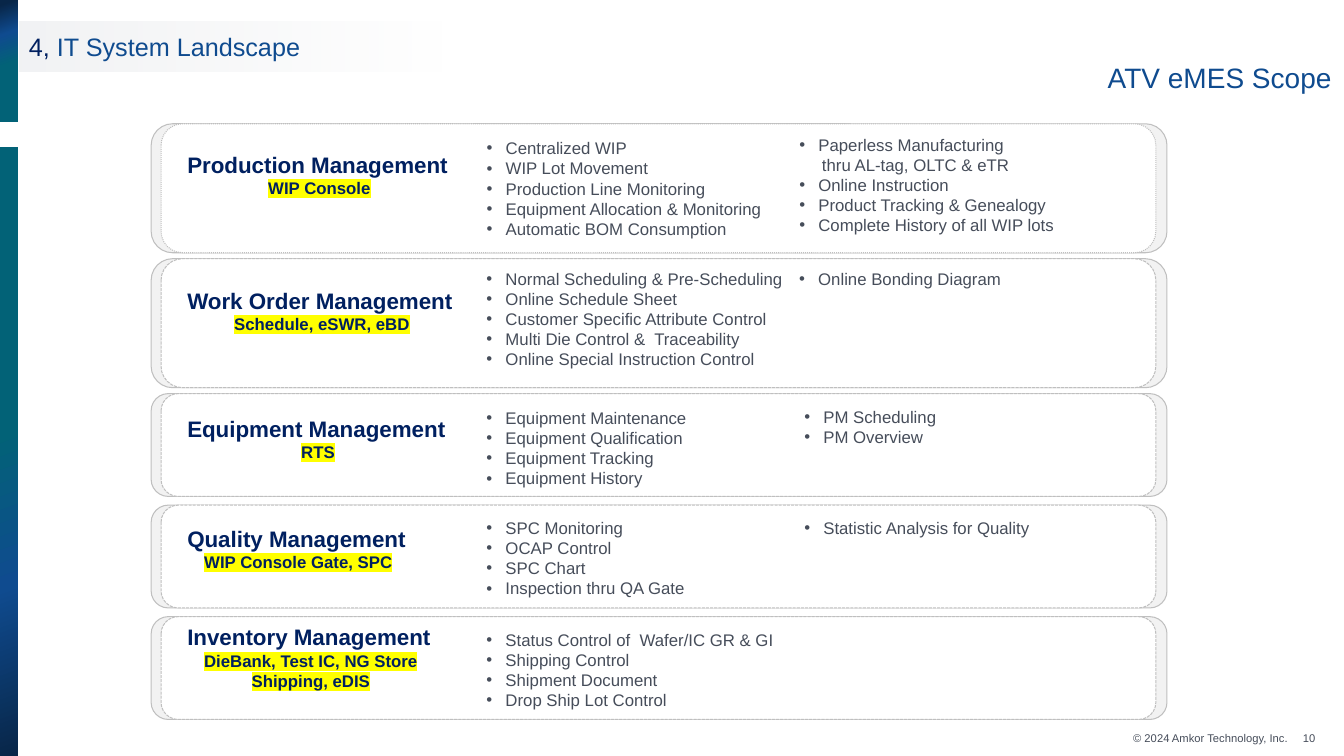
"""Build the system landscape slide with five bands of management scope."""
from dataclasses import dataclass

from lxml.etree import SubElement
from pptx import Presentation
from pptx.dml.color import RGBColor
from pptx.enum.dml import MSO_LINE
from pptx.enum.shapes import MSO_SHAPE
from pptx.enum.text import MSO_ANCHOR, MSO_AUTO_SIZE, PP_ALIGN
from pptx.oxml.ns import qn
from pptx.util import Cm, Pt


@dataclass(frozen=True)
class Theme:
    """Colours, font and type sizes."""
    face: str = "Arial"
    navy: str = "002060"
    blue: str = "0F4B8F"
    teal: str = "026277"
    deep: str = "082648"
    text: str = "464D5A"
    mark: str = "FFFF00"
    edge: str = "BFBFBF"
    back: str = "F2F2F2"
    front: str = "FFFFFF"
    haze: str = "D8DBE0"
    title: int = 20
    label: int = 18
    head: int = 16
    body: int = 12
    foot: int = 8


T = Theme()
TITLE = "ATV eMES Scope"
LABEL = [("4, ", T.navy), ("IT System Landscape", T.blue)]
FOOT = [("© 2024 Amkor Technology, Inc.", 26.49, 6.3, 0.33), ("10", 32.13, 1.27, 0.25)]
STRIPS = [
    (0, 3.07, [(4, T.deep, 100), (28, T.blue, 100), (53, T.teal, 100)]),
    (3.71, 15.34, [(0, T.teal, 100), (46, T.teal, 100), (72, T.blue, 100), (100, T.deep, 100)]),
]
HAZE = [(0, T.haze, 35), (100, T.haze, 0)]

SIZES = {"tall": (3.25, 0.15), "short": (2.59, 0.22)}
DOT, DASH = MSO_LINE.ROUND_DOT, MSO_LINE.SQUARE_DOT
BANDS = [
    dict(size="tall", dash=DOT, head="Production Management", drop=0.56, width=7.16,
         tools=["WIP Console"],
         lists=[(12.01, 0.23, ["Centralized WIP", "WIP Lot Movement", "Production Line Monitoring",
                               "Equipment Allocation & Monitoring", "Automatic BOM Consumption"]),
                (19.89, 0.14, ["Paperless Manufacturing", ("thru AL-tag, OLTC & eTR",),
                               "Online Instruction", "Product Tracking & Genealogy",
                               "Complete History of all WIP lots"])]),
    dict(size="tall", dash=DASH, head="Work Order Management", drop=0.58, width=7.29,
         tools=["Schedule, eSWR, eBD"],
         lists=[(12.01, 0.12, ["Normal Scheduling & Pre-Scheduling", "Online Schedule Sheet",
                               "Customer Specific Attribute Control",
                               "Multi Die Control &  Traceability",
                               "Online Special Instruction Control"]),
                (19.89, 0.12, ["Online Bonding Diagram"])]),
    dict(size="short", dash=DASH, head="Equipment Management", drop=0.41, width=7.09,
         tools=["RTS"],
         lists=[(12.01, 0.23, ["Equipment Maintenance", "Equipment Qualification",
                               "Equipment Tracking", "Equipment History"]),
                (20.02, 0.21, ["PM Scheduling", "PM Overview"])]),
    dict(size="short", dash=DASH, head="Quality Management", drop=0.37, width=6.1,
         tools=["WIP Console Gate, SPC"],
         lists=[(12.01, 0.19, ["SPC Monitoring", "OCAP Control", "SPC Chart",
                               "Inspection thru QA Gate"]),
                (20.02, 0.19, ["Statistic Analysis for Quality"])]),
    dict(size="short", dash=DASH, head="Inventory Management", drop=0.05, width=6.73,
         tools=["DieBank, Test IC, NG Store", "Shipping, eDIS"],
         lists=[(12.01, 0.2, ["Status Control of  Wafer/IC GR & GI", "Shipping Control",
                              "Shipment Document", "Drop Ship Lot Control"])]),
]


def put(obj, **vals):
    for key, val in vals.items():
        setattr(obj, key, val)


def place(obj, left, top, width, height):
    put(obj, left=Cm(left), top=Cm(top), width=Cm(width), height=Cm(height))


def write(para, text, size, color, bold=False, mark=None):
    run = para.add_run()
    run.text = text
    put(run.font, name=T.face, size=Pt(size), bold=bold)
    run.font.color.rgb = RGBColor.from_string(color)
    if mark:
        props = run.font.fill._xPr
        tint = SubElement(props, qn("a:highlight"))
        SubElement(tint, qn("a:srgbClr"), val=mark)
        props.find(qn("a:solidFill")).addnext(tint)


def lines(frame, count):
    return [frame.paragraphs[0]] + [frame.add_paragraph() for _ in range(count - 1)]


def block(slide, kind, *spot):
    shape = slide.shapes.add_shape(kind, *map(Cm, spot))
    shape.shadow.inherit = False
    shape.line.fill.background()
    return shape


def blend(shape, stops, angle):
    shape.fill.gradient()
    shape.fill.gradient_angle = -angle % 360
    ramp = next(shape.element.iter(qn("a:gsLst")))
    for old in list(ramp):
        ramp.remove(old)
    for pos, color, alpha in stops:
        stop = SubElement(ramp, qn("a:gs"), pos=str(pos * 1000))
        tone = SubElement(stop, qn("a:srgbClr"), val=color)
        SubElement(tone, qn("a:alpha"), val=str(alpha * 1000))


def indent(para, left, first):
    props = para._p.get_or_add_pPr()
    for key, size in {"marL": left, "indent": first}.items():
        props.set(key, str(int(Cm(size))))
    return props


def bullets(slide, holders, left, top, items):
    box = holders.pop(0) if holders else slide.shapes.add_textbox(0, 0, 0, 0)
    slide.shapes._spTree.append(box.element)
    place(box, left, top, 8.1, 0.25 + 0.51 * len(items))
    frame = box.text_frame
    put(frame, word_wrap=True, auto_size=MSO_AUTO_SIZE.NONE)
    for para, item in zip(lines(frame, len(items)), items):
        para.space_before = Pt(0)
        if isinstance(item, tuple):
            SubElement(indent(para, 0.57, 0), qn("a:buNone"))
            item = item[0]
        else:
            props = indent(para, 0.48, -0.48)
            SubElement(props, qn("a:buFont"), typeface=T.face)
            SubElement(props, qn("a:buChar"), char="•")
        write(para, item, T.body, T.text)


def band(slide, holders, top, height, data):
    layers = [(3.81, 25.6, T.back, MSO_LINE.SOLID), (4.06, 25.07, T.front, data["dash"])]
    for left, width, color, dash in layers:
        card = block(slide, MSO_SHAPE.ROUNDED_RECTANGLE, left, top, width, height)
        card.fill.solid()
        card.fill.fore_color.rgb = RGBColor.from_string(color)
        card.line.color.rgb = RGBColor.from_string(T.edge)
        put(card.line, width=Pt(0.75), dash_style=dash)
    tools = data["tools"]
    box = slide.shapes.add_textbox(0, 0, 0, 0)
    place(box, 4.47, top + data["drop"], data["width"], 0.94 + 0.51 * len(tools))
    box.text_frame.word_wrap = True
    first, *rest = lines(box.text_frame, 1 + len(tools))
    write(first, data["head"], T.head, T.navy, True)
    for para, tool in zip(rest, tools):
        para.alignment = PP_ALIGN.CENTER
        write(para, tool, T.body, T.navy, True, T.mark)
    for left, drop, items in data["lists"]:
        bullets(slide, holders, left, top + drop, items)


def main():
    deck = Presentation()
    put(deck, slide_width=Cm(33.87), slide_height=Cm(19.05))
    slide = deck.slides.add_slide(deck.slide_layouts[3])
    title, *holders = slide.placeholders

    for top, height, stops in STRIPS:
        blend(block(slide, MSO_SHAPE.RECTANGLE, 0, top, 0.45, height), stops, 70)

    for text, left, width, inset in FOOT:
        box = slide.shapes.add_textbox(Cm(left), Cm(18.29), Cm(width), Cm(0.64))
        put(box.text_frame, word_wrap=True, vertical_anchor=MSO_ANCHOR.MIDDLE,
            margin_left=Cm(inset), margin_right=Cm(inset),
            margin_top=Cm(0.18), margin_bottom=Cm(0.18))
        para = box.text_frame.paragraphs[0]
        para.alignment = PP_ALIGN.RIGHT
        write(para, text, T.foot, T.text)

    place(title, 27.66, 0.73, 6.2, 2.79)
    put(title.text_frame, word_wrap=False, auto_size=MSO_AUTO_SIZE.NONE,
        vertical_anchor=MSO_ANCHOR.MIDDLE, margin_top=0, margin_bottom=Cm(0.25))
    para = title.text_frame.paragraphs[0]
    put(para, alignment=PP_ALIGN.LEFT, line_spacing=0.9)
    write(para, TITLE, T.title, T.blue)

    top = 3.12
    for data in BANDS:
        height, gap = SIZES[data["size"]]
        band(slide, holders, top, height, data)
        top += height + gap

    label = block(slide, MSO_SHAPE.RECTANGLE, 0.48, 0.54, 10.8, 1.27)
    blend(label, HAZE, 0)
    label.text_frame.vertical_anchor = MSO_ANCHOR.MIDDLE
    para = label.text_frame.paragraphs[0]
    para.alignment = PP_ALIGN.LEFT
    for text, color in LABEL:
        write(para, text, T.label, color)

    deck.save("out.pptx")


if __name__ == "__main__":
    main()
